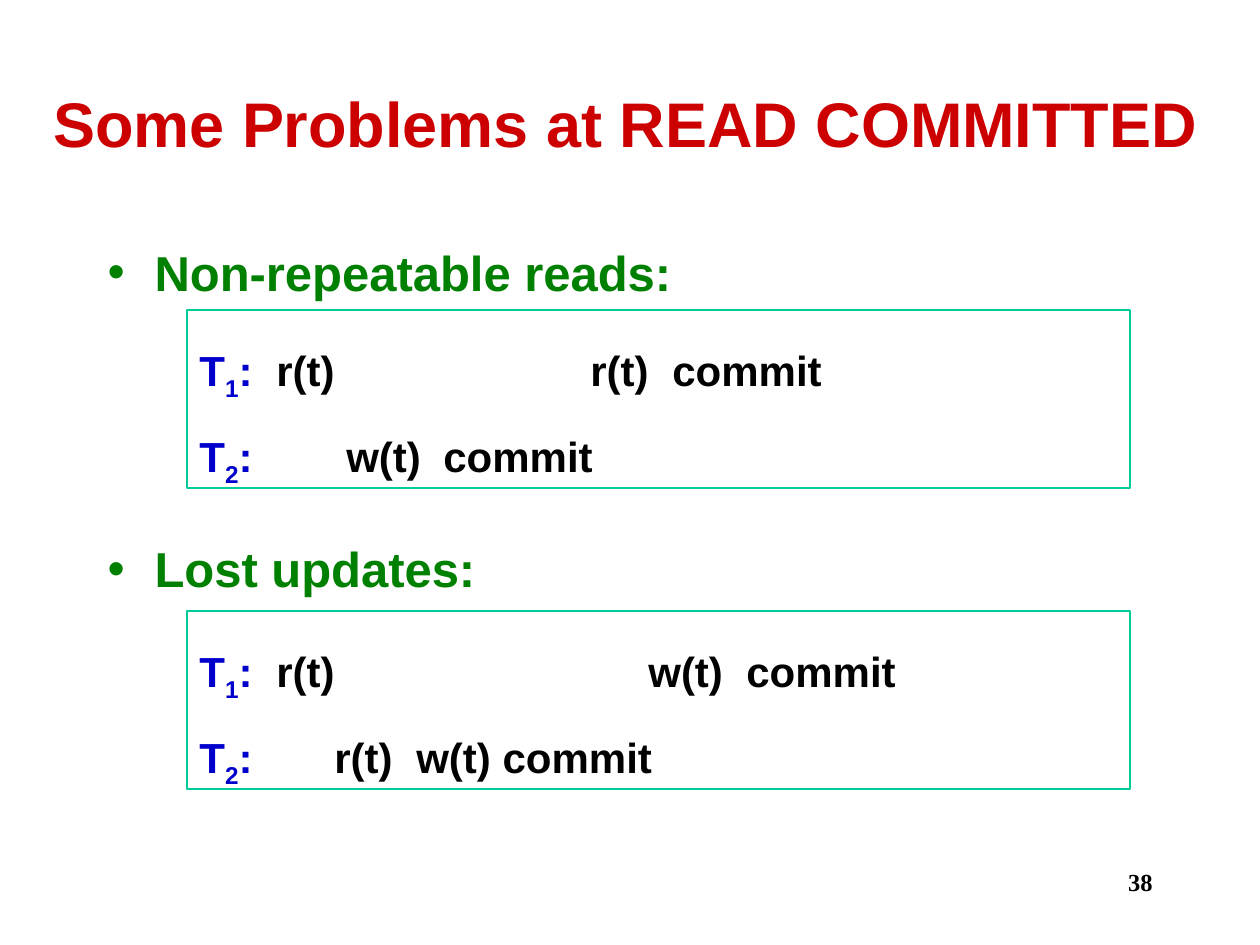
from pptx import Presentation
from pptx.dml.color import RGBColor
from pptx.enum.shapes import MSO_SHAPE as Shape
from pptx.enum.text import MSO_ANCHOR as Anchor, MSO_AUTO_SIZE as AutoSize, PP_ALIGN as Align
from pptx.oxml.ns import qn
from pptx.util import Emu, Pt
from lxml.etree import SubElement

COLORS = {
    "title": "CC0000",
    "heading": "008000",
    "label": "0000CC",
    "text": "000000",
    "border": "00CC99",
}
SCHEDULES = [
    (310, [[(77, "r(t)"), (391, "r(t)"), (473, "commit")],
           [(147, "w(t)"), (244, "commit")]]),
    (611, [[(77, "r(t)"), (449, "w(t)"), (547, "commit")],
           [(135, "r(t)"), (217, "w(t) commit")]]),
]


def px(count):
    return Emu(round(count * 914400 / 126))


def color(name):
    return RGBColor.from_string(COLORS[name])


def place(box, left, top, width, height):
    box.left, box.top, box.width, box.height = map(px, (left, top, width, height))


def style(para, size, name=None, face="Arial"):
    font = para.font
    font.size, font.name, font.bold = Pt(size), face, True
    if name:
        font.color.rgb = color(name)


def add_span(para, text, name, baseline=0):
    span = para.add_run()
    span.text = text
    span.font.color.rgb = color(name)
    if baseline:
        span.font._element.set("baseline", str(baseline))


def add_title(page, text):
    title = page.shapes.title
    place(title, 32, 43, 1187, 158)
    frame = title.text_frame
    frame.text = text
    frame.auto_size, frame.vertical_anchor = AutoSize.NONE, Anchor.MIDDLE
    frame.paragraphs[0].alignment = Align.CENTER
    style(frame.paragraphs[0], 36, "title")


def add_headings(page, headings):
    body = page.placeholders[1]
    place(body, 95, 232, 1071, 567)
    frame = body.text_frame
    frame.text = "\n".join(headings)
    frame.auto_size, frame.margin_top = AutoSize.NONE, px(10)
    for index, para in enumerate(frame.paragraphs):
        props = para._p.get_or_add_pPr()
        props.set("marL", str(px(47)))
        props.set("indent", str(-px(47)))
        SubElement(props, qn("a:buChar")).set("char", "•")
        para.space_before = Pt(136 * index)
        style(para, 28, "heading")


def add_steps(para, number, steps):
    tabs = SubElement(para._p.get_or_add_pPr(), qn("a:tabLst"))
    for offset, _ in steps:
        tab = SubElement(tabs, qn("a:tab"))
        tab.set("pos", str(px(offset)))
        tab.set("algn", "l")
    para.alignment, para.line_spacing = Align.LEFT, 1.5
    style(para, 24)
    add_span(para, "T", "label")
    add_span(para, str(number), "label", -25000)
    add_span(para, ":", "label")
    add_span(para, "".join("\t" + step for _, step in steps), "text")


def add_schedule(page, top, transactions):
    box = page.shapes.add_shape(Shape.RECTANGLE, px(187), px(top), px(943), px(178))
    box.shadow.inherit = False
    box.fill.background()
    box.line.color.rgb, box.line.width = color("border"), Pt(0.75)
    frame = box.text_frame
    frame.word_wrap, frame.auto_size = True, AutoSize.SHAPE_TO_FIT_TEXT
    frame.vertical_anchor, frame.margin_bottom = Anchor.TOP, px(20)
    for number, steps in enumerate(transactions, 1):
        para = frame.paragraphs[0] if number == 1 else frame.add_paragraph()
        add_steps(para, number, steps)


def add_page_number(page, number):
    box = page.shapes.add_textbox(px(903), px(861), px(262), px(63))
    frame = box.text_frame
    frame.word_wrap = True
    para = frame.paragraphs[0]
    para.text, para.alignment = str(number), Align.RIGHT
    style(para, 14, "text", "Times New Roman")


def main():
    deck = Presentation()
    deck.slide_width, deck.slide_height = px(1260), px(945)
    page = deck.slides.add_slide(deck.slide_layouts[1])
    add_page_number(page, 38)
    add_title(page, "Some Problems at READ COMMITTED")
    add_headings(page, ["Non-repeatable reads:", "Lost updates:"])
    for top, transactions in SCHEDULES:
        add_schedule(page, top, transactions)
    deck.save("out.pptx")


if __name__ == "__main__":
    main()
